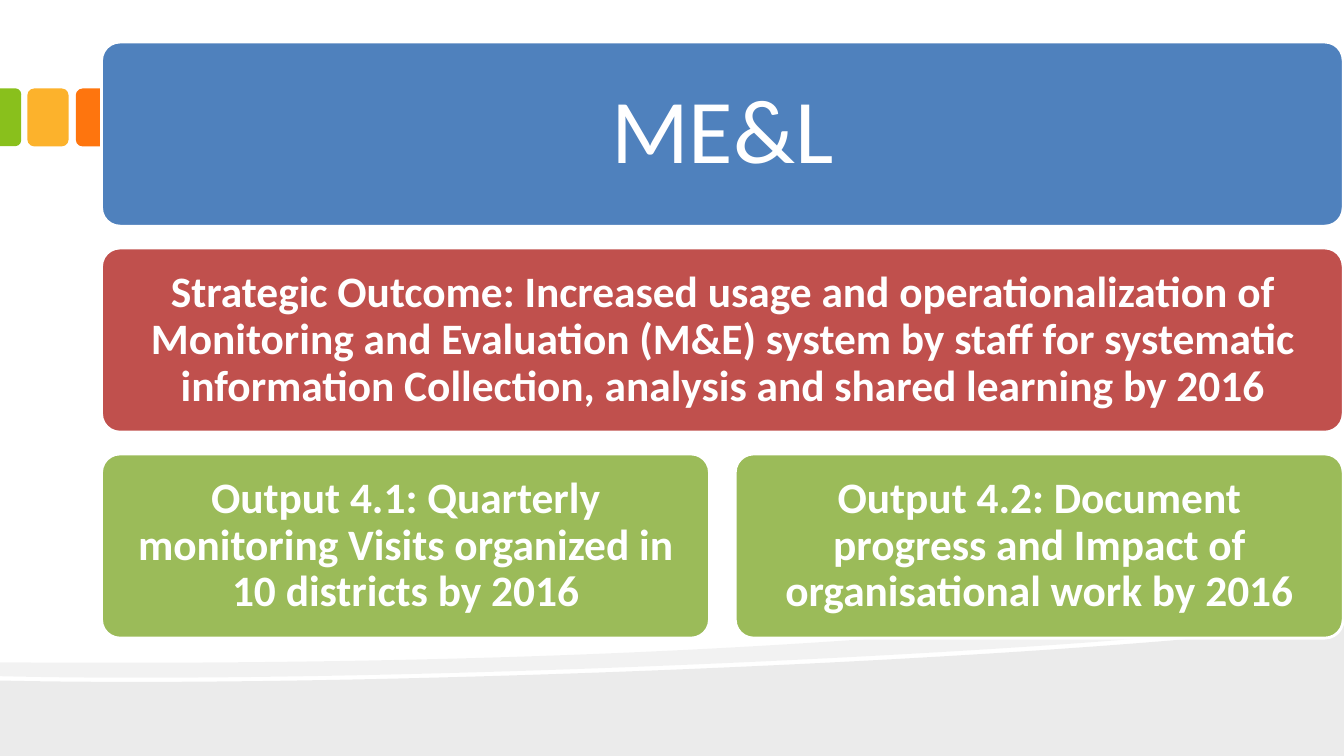
from lxml import etree
from pptx import Presentation
from pptx.dml.color import RGBColor
from pptx.enum.shapes import MSO_SHAPE
from pptx.enum.text import MSO_ANCHOR, PP_ALIGN
from pptx.oxml.ns import qn
from pptx.util import Cm, Pt

ROUNDED = MSO_SHAPE.ROUNDED_RECTANGLE
ROUNDED_TOP = MSO_SHAPE.ROUND_2_SAME_RECTANGLE
MIDDLE = MSO_ANCHOR.MIDDLE
CENTER = PP_ALIGN.CENTER

COLORS = {
    "white": "FFFFFF", "wave": "000000",
    "orange": "FE750E", "yellow": "FCB22C", "lime": "89C01C",
    "blue": "4F81BD", "red": "C0504D", "green": "9BBB59",
}


def paint(shape, color):
    shape.shadow.inherit = False
    shape.fill.solid()
    shape.fill.fore_color.rgb = RGBColor.from_string(COLORS[color])
    shape.line.fill.background()


prs = Presentation()
prs.slide_width, prs.slide_height = Cm(33.87), Cm(19.05)
slide = prs.slides.add_slide(prs.slide_layouts[6])
shapes = slide.shapes

# Grey waves: outline points, index of each curve's first control, opacity
lower_wave = [(0, 17.15), (8.94, 17.35), (26.47, 16.64), (33.87, 15.7),
              (33.87, 19.05), (0, 19.05)]
upper_wave = [(33.87, 15.54), (31.88, 15.82), (29.18, 16.08), (26.14, 16.28),
              (17.73, 16.84), (6.55, 17.2), (0, 17.04),
              (0, 16.69), (16.56, 16.81), (24.66, 15.93), (33.87, 15.04)]
for outline, curve_starts, opacity in ((lower_wave, [0], 8),
                                       (upper_wave, [0, 3, 7], 5)):
    points = [(Cm(x), Cm(y)) for x, y in outline]
    builder = shapes.build_freeform(*points[0])
    builder.add_line_segments(points[1:], close=True)
    wave = builder.convert_to_shape()
    paint(wave, "wave")
    wave_color = wave.fill._xPr.find(qn("a:solidFill"))[0]
    etree.SubElement(wave_color, qn("a:alpha"), val=str(opacity * 1000))
    # Three consecutive segments become one Bezier curve
    segments = list(wave._element.iter(qn("a:lnTo")))
    for start in curve_starts:
        bezier = etree.Element(qn("a:cubicBezTo"))
        segments[start].addprevious(bezier)
        for segment in segments[start:start + 3]:
            bezier.append(segment[0])
            segment.getparent().remove(segment)

# Coloured tabs at the left edge
for left, color in ((1.91, "orange"), (0.69, "yellow")):
    tab = shapes.add_shape(ROUNDED, Cm(left), Cm(2.23), Cm(1.04), Cm(1.46))
    paint(tab, color)
edge_tab = shapes.add_shape(ROUNDED_TOP, Cm(-0.46), Cm(2.69), Cm(1.46), Cm(0.53))
edge_tab.rotation = 90
edge_tab.adjustments[0] = 0.29
paint(edge_tab, "lime")

# Cards: row, column, columns in the row, colour, size, bold, inset, text
CARD_LEFT, CARD_TOP, CARD_HEIGHT = 2.56, 1.06, 4.64
FULL_WIDTH, COLUMN_GAP, ROW_PITCH = 31.29, 0.65, 5.19
cards = [
    (0, 0, 1, "blue", 65, False, 0.69, "ME&L"),
    (1, 0, 1, "red", 31, True, 0.33,
     "Strategic Outcome: Increased usage and operationalization of Monitoring "
     "and Evaluation (M&E) system by staff for systematic information "
     "Collection, analysis and shared learning by 2016"),
    (2, 0, 2, "green", 31, True, 0.5,
     "Output 4.1: Quarterly monitoring Visits organized in 10 districts by 2016"),
    (2, 1, 2, "green", 31, True, 0.5,
     "Output 4.2: Document progress and Impact of organisational work by 2016"),
]
for row, column, columns, color, size, bold, inset, text in cards:
    width = (FULL_WIDTH - COLUMN_GAP * (columns - 1)) / columns
    card = shapes.add_shape(
        ROUNDED, Cm(CARD_LEFT + column * (width + COLUMN_GAP)),
        Cm(CARD_TOP + row * ROW_PITCH), Cm(width), Cm(CARD_HEIGHT))
    card.adjustments[0] = 0.1
    paint(card, color)
    card.line.color.rgb = RGBColor.from_string(COLORS["white"])
    card.line.width = Pt(2)

    frame = card.text_frame
    frame.word_wrap = True
    frame.vertical_anchor = MIDDLE
    for side in ("left", "right", "top", "bottom"):
        setattr(frame, f"margin_{side}", Cm(inset))
    statement = frame.paragraphs[0]
    statement.text = text
    statement.alignment = CENTER
    statement.line_spacing = 0.9
    font_format = {"name": "Calibri", "size": Pt(size), "bold": bold}
    for attribute, value in font_format.items():
        setattr(statement.font, attribute, value)
    statement.font.color.rgb = RGBColor.from_string(COLORS["white"])

prs.save("out.pptx")
